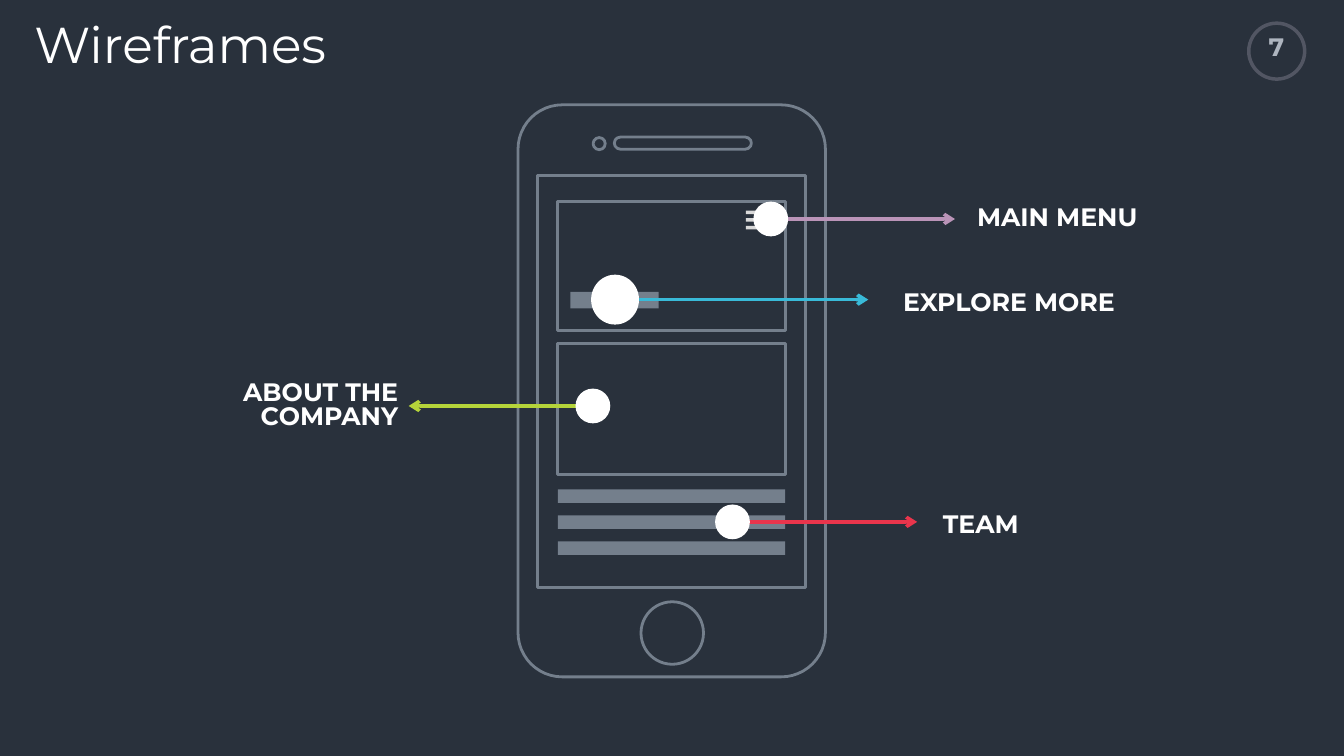
from dataclasses import dataclass

import lxml.etree
import pptx
import pptx.dml.color
import pptx.enum.shapes
import pptx.enum.text
import pptx.oxml.ns
import pptx.shapes.autoshape
import pptx.slide
import pptx.util

Inches = pptx.util.Inches
Pt = pptx.util.Pt
Shape = pptx.enum.shapes.MSO_SHAPE
Align = pptx.enum.text.PP_ALIGN
qn = pptx.oxml.ns.qn

FONT = "Montserrat"
COLOURS = {
    "background": "29313C",
    "wire": "747F8C",
    "ring": "525663",
    "number": "AEB5BF",
    "menu": "D9D9D9",
    "white": "FFFFFF",
    "purple": "BA94B8",
    "blue": "39BAD8",
    "green": "B5D43A",
    "red": "E9354C",
}


@dataclass
class Box:
    left: float
    top: float
    width: float
    height: float

    def lengths(self) -> list[pptx.util.Length]:
        return [Inches(v) for v in (self.left, self.top, self.width, self.height)]


@dataclass
class Callout:
    label: str
    label_box: Box
    dot: Box
    tip_x: float
    colour: str
    align: Align = Align.LEFT


def rgb(name: str) -> pptx.dml.color.RGBColor:
    return pptx.dml.color.RGBColor.from_string(COLOURS[name])


def add_outline(page: pptx.slide.Slide, kind: Shape, box: Box, colour: str = "wire",
                width: float = 4) -> pptx.shapes.autoshape.Shape:
    shape = page.shapes.add_shape(kind, *box.lengths())
    shape.shadow.inherit = False
    shape.fill.background()
    shape.line.color.rgb = rgb(colour)
    shape.line.width = Pt(width)
    return shape


def add_solid(page: pptx.slide.Slide, kind: Shape, box: Box, colour: str) -> None:
    shape = page.shapes.add_shape(kind, *box.lengths())
    shape.shadow.inherit = False
    shape.fill.solid()
    shape.fill.fore_color.rgb = rgb(colour)
    shape.line.fill.background()


def add_text(page: pptx.slide.Slide, text: str, box: Box, size: float = 36,
             colour: str = "white", bold: bool = True, align: Align = Align.LEFT) -> None:
    frame = page.shapes.add_textbox(*box.lengths()).text_frame
    frame.word_wrap = True
    frame.vertical_anchor = pptx.enum.text.MSO_ANCHOR.MIDDLE
    frame.margin_left = frame.margin_right = frame.margin_top = frame.margin_bottom = 0
    frame.text = text
    para = frame.paragraphs[0]
    para.alignment = align
    para.line_spacing = 0.8
    font = para.runs[0].font
    font.name = FONT
    font.size = Pt(size)
    font.bold = bold
    font.color.rgb = rgb(colour)


def add_callout(page: pptx.slide.Slide, callout: Callout) -> None:
    dot = callout.dot
    y = Inches(dot.top + dot.height / 2)
    arrow = page.shapes.add_connector(
        pptx.enum.shapes.MSO_CONNECTOR.STRAIGHT,
        Inches(dot.left + dot.width / 2), y, Inches(callout.tip_x), y)
    arrow.line.color.rgb = rgb(callout.colour)
    arrow.line.width = Pt(5)
    lxml.etree.SubElement(arrow.line._get_or_add_ln(), qn("a:tailEnd"), type="arrow")
    lxml.etree.SubElement(arrow._element.spPr, qn("a:effectLst"))
    add_solid(page, Shape.OVAL, dot, "white")
    add_text(page, callout.label, callout.label_box, align=callout.align)


def add_phone(page: pptx.slide.Slide) -> None:
    # Body, speaker, camera and home button
    body = add_outline(page, Shape.ROUNDED_RECTANGLE, Box(10.28, 2.08, 6.1, 11.35))
    body.adjustments[0] = 0.144
    speaker = add_outline(page, Shape.ROUNDED_RECTANGLE, Box(12.19, 2.72, 2.72, 0.24))
    speaker.adjustments[0] = 0.5
    add_outline(page, Shape.OVAL, Box(11.77, 2.73, 0.24, 0.24))
    add_outline(page, Shape.OVAL, Box(12.72, 11.94, 1.24, 1.24))

    # Screen with its two panels
    add_outline(page, Shape.RECTANGLE, Box(10.66, 3.49, 5.33, 8.17))
    add_outline(page, Shape.RECTANGLE, Box(11.07, 4, 4.51, 2.56))
    add_outline(page, Shape.RECTANGLE, Box(11.07, 6.82, 4.51, 2.6))

    # Button, text bars and menu icon
    add_solid(page, Shape.RECTANGLE, Box(11.32, 5.79, 1.75, 0.33), "wire")
    for row in range(3):
        add_solid(page, Shape.RECTANGLE, Box(11.07, 9.71 + row * 0.515, 4.51, 0.27), "wire")
        add_solid(page, Shape.RECTANGLE, Box(14.8, 4.18 + row * 0.15, 0.6, 0.07), "menu")


CALLOUTS = [
    Callout("MAIN MENU", Box(19.39, 4.11, 3.61, 0.5),
            Box(14.95, 4, 0.69, 0.69), 18.95, "purple"),
    Callout("EXPLORE MORE", Box(17.92, 5.79, 4.29, 0.5),
            Box(11.73, 5.45, 0.95, 0.99), 17.23, "blue"),
    Callout("ABOUT THE COMPANY", Box(2.59, 7.81, 5.31, 0.5),
            Box(11.42, 7.71, 0.69, 0.69), 8.11, "green", Align.RIGHT),
    Callout("TEAM", Box(18.71, 10.19, 4.29, 0.5),
            Box(14.19, 10.01, 0.69, 0.69), 18.2, "red"),
]


def main() -> None:
    deck = pptx.Presentation()
    deck.slide_width = Inches(26.67)
    deck.slide_height = Inches(15)
    page = deck.slides.add_slide(deck.slide_layouts[6])
    page.background.fill.solid()
    page.background.fill.fore_color.rgb = rgb("background")

    # Title and page number
    add_text(page, "Wireframes", Box(0.68, 0.46, 10.25, 1.01), size=72, bold=False)
    add_outline(page, Shape.OVAL, Box(24.78, 0.46, 1.11, 1.11), "ring", 5)
    add_text(page, "7", Box(24.99, 0.62, 0.68, 0.71), colour="number", align=Align.CENTER)

    add_phone(page)
    for callout in CALLOUTS:
        add_callout(page, callout)

    deck.save("out.pptx")


if __name__ == "__main__":
    main()
